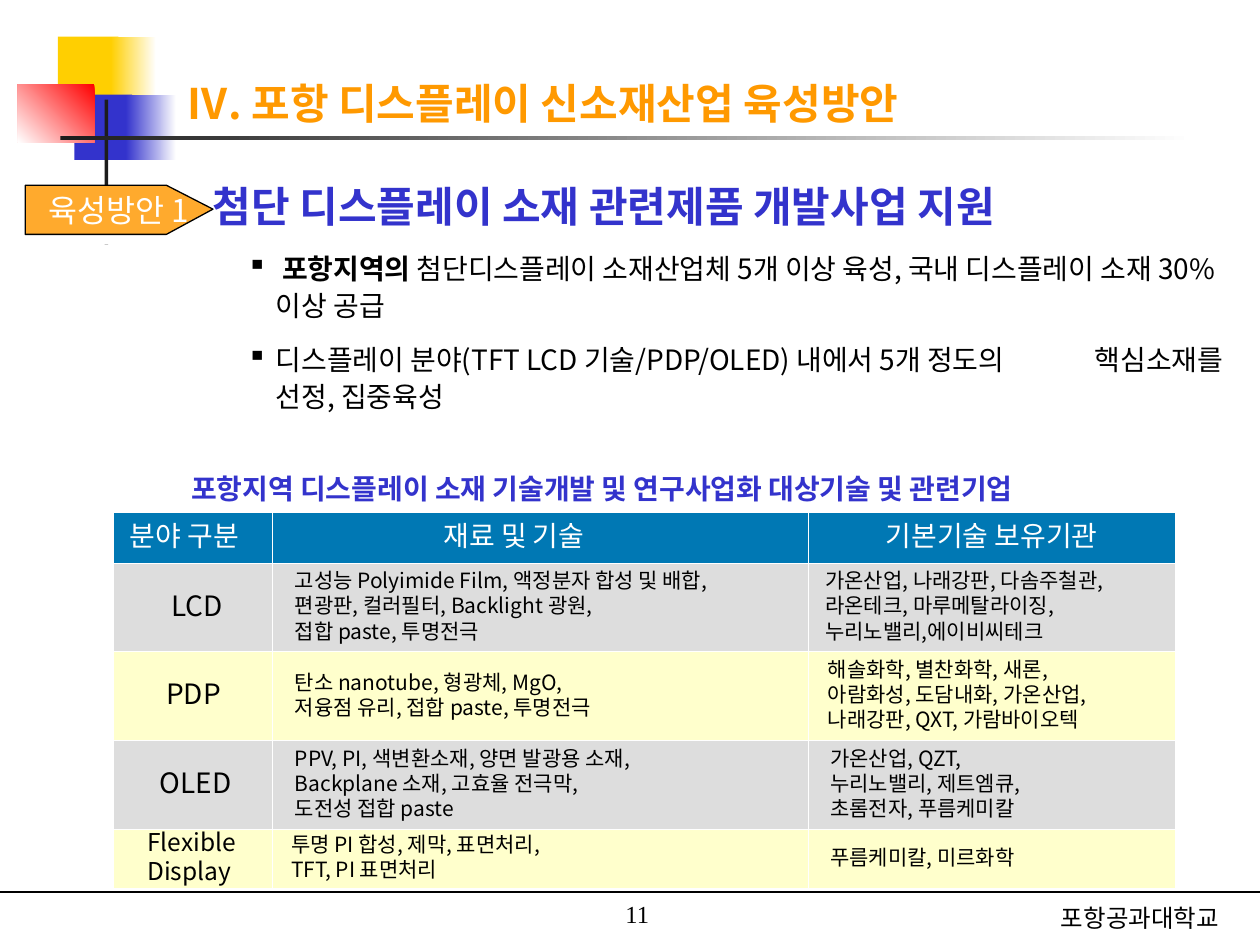
from dataclasses import dataclass

from lxml import etree
from pptx import Presentation
from pptx.dml.color import RGBColor
from pptx.enum import shapes, text
from pptx.oxml import ns
from pptx.util import Inches, Pt


@dataclass(frozen=True)
class Theme:
    font: str = "Noto Sans CJK KR"
    number_font: str = "Times New Roman"
    white: str = "FFFFFF"
    black: str = "000000"
    ink: str = "1C1C1C"
    blue: str = "3333CC"
    yellow: str = "FFCF01"
    red: str = "FF0000"
    orange: str = "FF9900"
    tag: str = "FFAA2D"
    header: str = "0078B4"
    gray: str = "DDDDDD"
    cream: str = "FFFFCC"
    title: int = 24
    label: int = 18
    body: int = 16
    small: int = 14
    detail: int = 12
    hairline: float = 0.75


T = Theme()

ORNAMENTS = [
    ((0.46, 0.29, 0.48, 0.52), T.yellow, None, 0),
    ((0.88, 0.29, 0.36, 0.52), T.yellow, T.white, 0),
    ((0.59, 0.75, 0.46, 0.52), T.blue, None, 0),
    ((1.0, 0.75, 0.4, 0.52), T.blue, T.white, 0),
    ((0.14, 0.67, 0.61, 0.46), T.red, T.white, 225),
    ((0.83, 0.79, 0.03, 1.15), T.ink, None, 0),
    ((0.48, 1.08, 9, 0.03), T.ink, T.white, 0),
    ((0.67, 1.78, 0.55, 0.16), T.white, None, 0),
]
TITLE = "Ⅳ. 포항 디스플레이 신소재산업 육성방안"
TAG = "육성방안 1"
TAG_OUTLINE = [(0.2, 1.47), (1.32, 1.47), (1.69, 1.66), (1.32, 1.86), (0.2, 1.86)]
HEADING = "첨단 디스플레이 소재 관련제품 개발사업 지원"
BULLETS = [
    [(" 포항지역의 ", True),
     ("첨단디스플레이 소재산업체 5개 이상 육성, 국내 디스플레이 소재 30%이상 공급", False)],
    [("디스플레이 분야(TFT LCD 기술/PDP/OLED) 내에서 5개 정도의\t핵심소재를 선정, 집중육성", False)],
]
CAPTION = "포항지역 디스플레이 소재 기술개발 및 연구사업화 대상기술 및 관련기업"
UNIVERSITY = "포항공과대학교"
PAGE = "11"

TABLE_AT = (0.9, 4.07)
COLUMNS = [1.26, 4.26, 2.91]
ROWS = [
    (0.4, T.header, [(0.13, ["분야 구분"]), (1.36, ["재료 및 기술"]), (0.61, ["기본기술 보유기관"])]),
    (0.7, T.gray, [
        (0.46, ["LCD"]),
        (0.18, ["고성능 Polyimide Film, 액정분자 합성 및 배합,", "편광판, 컬러필터, Backlight 광원,",
                "접합 paste, 투명전극"]),
        (0.13, ["가온산업, 나래강판, 다솜주철관,", "라온테크, 마루메탈라이징,", "누리노밸리,에이비씨테크"])]),
    (0.71, T.cream, [
        (0.42, ["PDP"]),
        (0.18, ["탄소 nanotube, 형광체, MgO,", "저융점 유리, 접합 paste, 투명전극"]),
        (0.15, ["해솔화학, 별찬화학, 새론,", "아람화성, 도담내화, 가온산업,", "나래강판, QXT, 가람바이오텍"])]),
    (0.7, T.gray, [
        (0.37, ["OLED"]),
        (0.18, ["PPV, PI, 색변환소재, 양면 발광용 소재,", "Backplane 소재, 고효율 전극막,",
                "도전성 접합 paste"]),
        (0.17, ["가온산업, QZT,", "누리노밸리, 제트엠큐,", "초롬전자, 푸름케미칼"])]),
    (0.47, T.cream, [
        (0.27, ["Flexible", "Display"]),
        (0.15, ["투명 PI 합성, 제막, 표면처리,", "TFT, PI 표면처리"]),
        (0.17, ["푸름케미칼, 미르화학"])]),
]

prs = Presentation()
prs.slide_width, prs.slide_height = Inches(10), Inches(7.5)
slide = prs.slides.add_slide(prs.slide_layouts[6])


def rgb(color):
    return RGBColor.from_string(color)


def box(at):
    return [Inches(v) for v in at]


def sub(parent, tag, **attrs):
    return etree.SubElement(parent, ns.qn(tag), attrs)


def add_run(para, words, size, color=T.black, bold=False, font=T.font):
    run = para.add_run()
    run.text = words
    run.font.size, run.font.bold, run.font.name = Pt(size), bold, font
    run.font.color.rgb = rgb(color)
    sub(run.font._element, "a:ea", typeface=font)


def set_lines(frame, lines, size, pitch=1.2, align=text.PP_ALIGN.LEFT, **style):
    for i, words in enumerate(lines):
        para = frame.paragraphs[0] if i == 0 else frame.add_paragraph()
        para.alignment = align
        para.line_spacing = Pt(round(size * pitch, 1))
        add_run(para, words, size, **style)


def set_margins(holder, left=0.1, top=0.05, right=0.1, bottom=0.05):
    holder.margin_left, holder.margin_top = Inches(left), Inches(top)
    holder.margin_right, holder.margin_bottom = Inches(right), Inches(bottom)


def add_label(at, words, size, side=0.1, top=0.05, anchor=text.MSO_ANCHOR.TOP, **style):
    frame = slide.shapes.add_textbox(*box(at)).text_frame
    frame.word_wrap, frame.vertical_anchor = True, anchor
    set_margins(frame, side, top, side, top)
    set_lines(frame, [words], size, **style)


def add_ornament(at, color, fade, angle):
    ornament = slide.shapes.add_shape(shapes.MSO_SHAPE.RECTANGLE, *box(at))
    ornament.shadow.inherit = False
    ornament.line.fill.background()
    if fade is None:
        ornament.fill.solid()
        ornament.fill.fore_color.rgb = rgb(color)
    else:
        ornament.fill.gradient()
        ornament.fill.gradient_angle = angle
        for stop, tone in zip(ornament.fill.gradient_stops, (color, fade)):
            stop.color.rgb = rgb(tone)


def add_plan():
    frame = slide.shapes.add_textbox(*box((1.59, 1.39, 8.29, 1.89))).text_frame
    frame.word_wrap = True
    set_margins(frame, top=0, bottom=0)
    set_lines(frame, [HEADING], T.title, pitch=1.32, color=T.blue, bold=True)
    for runs in BULLETS:
        para = frame.add_paragraph()
        para.level, para.space_before = 1, Pt(10)
        para.line_spacing = Pt(21)
        props = para._p.get_or_add_pPr()
        props.set("marL", str(Inches(0.5)))
        props.set("indent", str(-Inches(0.23)))
        sub(props, "a:buChar", char="▪")
        sub(sub(props, "a:tabLst"), "a:tab", pos=str(Inches(7)), algn="l")
        for words, bold in runs:
            add_run(para, words, T.body, bold=bold)


def add_tag():
    start, *rest = [tuple(box(point)) for point in TAG_OUTLINE]
    builder = slide.shapes.build_freeform(*start)
    builder.add_line_segments(rest, close=True)
    tag = builder.convert_to_shape()
    tag.shadow.inherit = False
    tag.fill.solid()
    tag.fill.fore_color.rgb = rgb(T.tag)
    tag.line.color.rgb, tag.line.width = rgb(T.black), Pt(T.hairline)
    tag.text_frame.word_wrap = False
    tag.text_frame.vertical_anchor = text.MSO_ANCHOR.MIDDLE
    set_lines(tag.text_frame, [TAG], T.label, align=text.PP_ALIGN.CENTER, color=T.white)


def set_borders(cell):
    props = cell._tc.get_or_add_tcPr()
    for i, side in enumerate(("a:lnL", "a:lnR", "a:lnT", "a:lnB")):
        edge = etree.Element(ns.qn(side), w=str(Pt(T.hairline)))
        sub(sub(edge, "a:solidFill"), "a:srgbClr", val=T.white)
        props.insert(i, edge)


def add_fields():
    size = (sum(COLUMNS), sum(row[0] for row in ROWS))
    table = slide.shapes.add_table(len(ROWS), len(COLUMNS), *box(TABLE_AT + size)).table
    table.horz_banding = False
    for column, width in zip(table.columns, COLUMNS):
        column.width = Inches(width)
    for r, (height, fill, cells) in enumerate(ROWS):
        table.rows[r].height = Inches(height)
        for c, (left, lines) in enumerate(cells):
            cell = table.cell(r, c)
            set_margins(cell, left, 0, 0, 0)
            cell.vertical_anchor = text.MSO_ANCHOR.MIDDLE
            cell.fill.solid()
            cell.fill.fore_color.rgb = rgb(fill)
            set_borders(cell)
            wide = r == 0 or c == 0
            points = T.detail if not wide else T.body if len(lines) == 1 else T.small
            set_lines(cell.text_frame, lines, points, color=T.black if r else T.white)


for ornament in ORNAMENTS:
    add_ornament(*ornament)
rule = slide.shapes.add_connector(shapes.MSO_CONNECTOR.STRAIGHT, *box((0, 7.08, 10, 7.08)))
rule.line.color.rgb, rule.line.width = rgb(T.black), Pt(T.hairline)
sub(rule._element.spPr, "a:effectLst")
add_label((8.42, 7.13, 1.5, 0.28), UNIVERSITY, T.small, side=0, top=0.01, pitch=1.32)
add_plan()
add_label((1.42, 3.67, 8.5, 0.4), CAPTION, T.body, pitch=1.32, color=T.blue, bold=True)
add_fields()
add_label((1.38, 0.57, 8.6, 0.5), TITLE, T.title, color=T.orange, bold=True)
add_tag()
add_label((3.17, 6.92, 2.08, 0.5), PAGE, T.small, anchor=text.MSO_ANCHOR.BOTTOM,
          align=text.PP_ALIGN.RIGHT, font=T.number_font)
prs.save("out.pptx")
